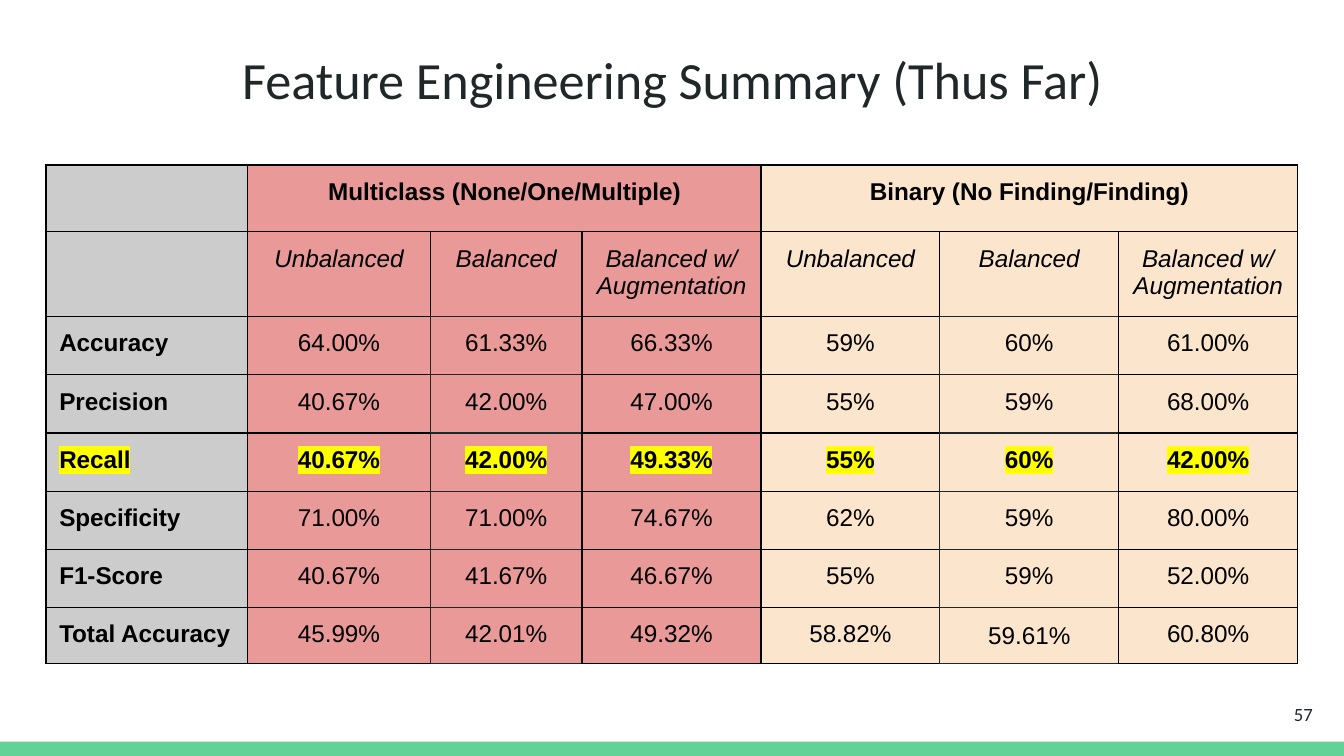
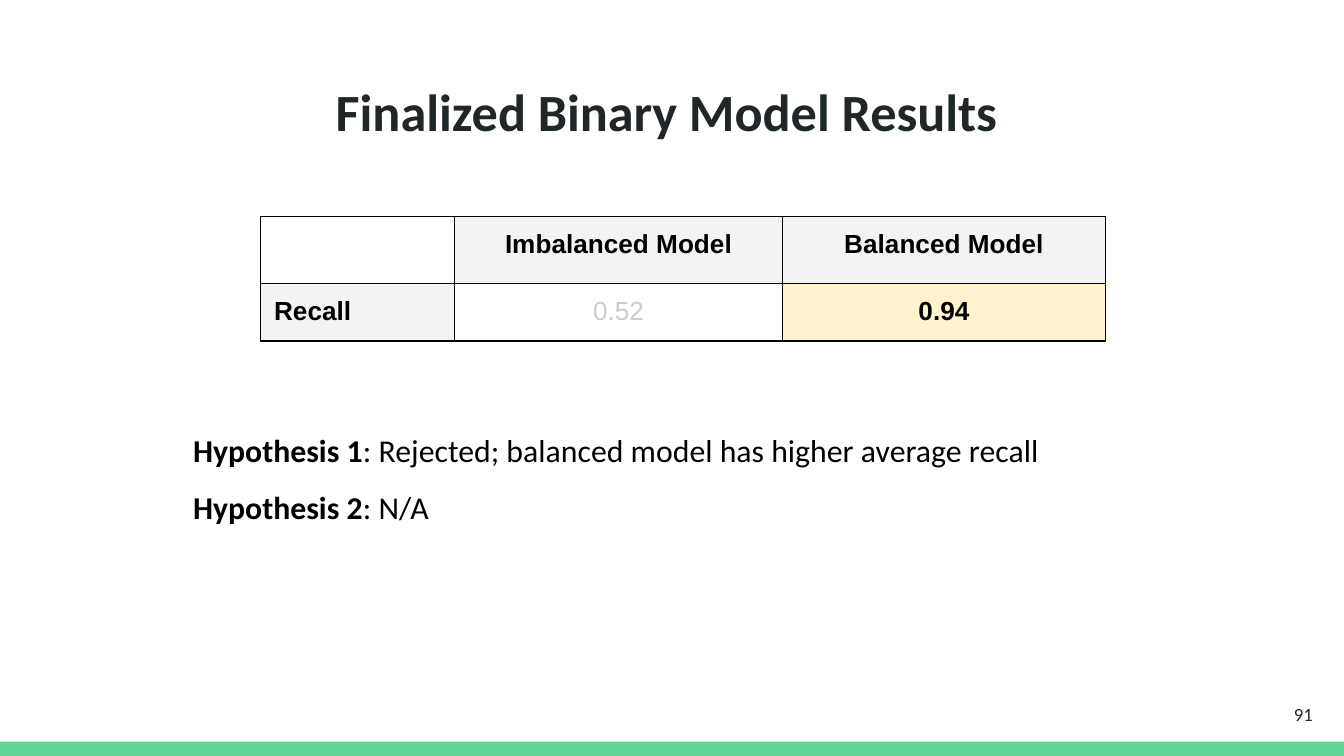
from lxml import etree
from pptx import Presentation
from pptx.dml.color import RGBColor
from pptx.enum.shapes import MSO_SHAPE
from pptx.enum.text import MSO_ANCHOR, PP_ALIGN
from pptx.oxml.ns import qn
from pptx.util import Cm, Pt

RECT = MSO_SHAPE.RECTANGLE
TOP, MIDDLE = MSO_ANCHOR.TOP, MSO_ANCHOR.MIDDLE
LEFT, CENTER, RIGHT = PP_ALIGN.LEFT, PP_ALIGN.CENTER, PP_ALIGN.RIGHT

INK = RGBColor(0x20, 0x27, 0x29)
BLACK = RGBColor(0, 0, 0)
GREEN = RGBColor(0x63, 0xD2, 0x97)
GREY = RGBColor(0xCC, 0xCC, 0xCC)
PALE = RGBColor(0xF3, 0xF3, 0xF3)
ROSE = RGBColor(0xEA, 0x99, 0x99)
PEACH = RGBColor(0xFC, 0xE5, 0xCD)
CREAM = RGBColor(0xFF, 0xF2, 0xCC)
YELLOW = RGBColor(0xFF, 0xFF, 0)

# Content
KINDS = ["Unbalanced", "Balanced", "Balanced w/ Augmentation"]
SCORES = [
    ["", "Multiclass (None/One/Multiple)", "", "", "Binary (No Finding/Finding)", "", ""],
    [""] + KINDS * 2,
    ["Accuracy", "64.00%", "61.33%", "66.33%", "59%", "60%", "61.00%"],
    ["Precision", "40.67%", "42.00%", "47.00%", "55%", "59%", "68.00%"],
    ["Recall", "40.67%", "42.00%", "49.33%", "55%", "60%", "42.00%"],
    ["Specificity", "71.00%", "71.00%", "74.67%", "62%", "59%", "80.00%"],
    ["F1-Score", "40.67%", "41.67%", "46.67%", "55%", "59%", "52.00%"],
    ["Total Accuracy", "45.99%", "42.01%", "49.32%", "58.82%", "59.61%", "60.80%"],
]
MODELS = [["", "Imbalanced Model", "Balanced Model"], ["Recall", "0.52", "0.94"]]
CLAIMS = [
    ("Hypothesis 1", ": Rejected; balanced model has higher average recall"),
    ("Hypothesis 2", ": N/A"),
]

# Text formats
TITLE = {"name": "Calibri", "size": Pt(28)}
PAGE = {"name": "Calibri", "size": Pt(10)}
CLAIM = {"name": "Calibri", "size": Pt(17)}
SCORE = {"name": "Arial", "size": Pt(13)}
MODEL = {"name": "Arial", "size": Pt(14)}

INSET = Cm(0.25)
SIDES = ("left", "right", "top", "bottom")
WIDE, HIGH = 25.4, 14.29


def add_run(para, text, form, color=BLACK, mark=None):
    run = para.add_run()
    run.text = text
    for key, value in form.items():
        setattr(run.font, key, value)
    run.font.color.rgb = color
    if mark:
        light = etree.Element(qn("a:highlight"))
        etree.SubElement(light, qn("a:srgbClr"), val=str(mark))
        run.font.fill  # keep the highlight right after the text fill
        run._r.get_or_add_rPr().find(qn("a:solidFill")).addnext(light)


def add_box(slide, x, y, w, h, anchor=TOP):
    frame = slide.shapes.add_textbox(Cm(x), Cm(y), Cm(w), Cm(h)).text_frame
    frame.word_wrap = True
    frame.vertical_anchor = anchor
    for side in SIDES:
        setattr(frame, "margin_" + side, INSET)
    return frame


def add_slide(deck, title, top, page, bold=False):
    slide = deck.slides.add_slide(deck.slide_layouts[6])
    # Bottom band
    band = slide.shapes.add_shape(RECT, 0, Cm(HIGH - 0.27), Cm(WIDE), Cm(0.27))
    band.shadow.inherit = False
    band.fill.solid()
    band.fill.fore_color.rgb = GREEN
    band.line.fill.background()
    # Title and page number
    para = add_box(slide, 0.87, top, 23.67, 1.6).paragraphs[0]
    para.alignment = CENTER
    add_run(para, title, {**TITLE, "bold": bold}, INK)
    para = add_box(slide, 23.54, 12.95, 1.52, 1.09, MIDDLE).paragraphs[0]
    para.alignment = RIGHT
    add_run(para, page, PAGE, INK)
    return slide


def add_grid(slide, x, y, cols, rows):
    grid = slide.shapes.add_table(
        len(rows), len(cols), Cm(x), Cm(y), Cm(sum(cols)), Cm(sum(rows))).table
    grid.first_row = grid.horz_banding = False
    for col, wide in zip(grid.columns, cols):
        col.width = Cm(wide)
    for row, high in zip(grid.rows, rows):
        row.height = Cm(high)
    return grid


def set_cell(cell, text, form, fill=None, edge=BLACK, align=CENTER,
             color=BLACK, mark=None):
    for side in SIDES:
        setattr(cell, "margin_" + side, INSET)
    if fill:
        cell.fill.solid()
        cell.fill.fore_color.rgb = fill
    else:
        cell.fill.background()
    # Borders come before the fill
    props = cell._tc.get_or_add_tcPr()
    for spot, side in enumerate("LRTB"):
        line = etree.Element(qn("a:ln" + side), w=str(Pt(0.75)))
        paint = etree.SubElement(line, qn("a:solidFill"))
        etree.SubElement(paint, qn("a:srgbClr"), val=str(edge))
        props.insert(spot, line)
    if text:
        para = cell.text_frame.paragraphs[0]
        para.alignment = align
        add_run(para, text, form, color, mark)


def add_scores(deck):
    slide = add_slide(deck, "Feature Engineering Summary (Thus Far)", 0.64, "57")
    cols = [3.81, 3.45, 2.87] + [3.38] * 4
    grid = add_grid(slide, 0.87, 3.12, cols, [1.1] * 7 + [1.06])
    fills = [GREY] + [ROSE] * 3 + [PEACH] * 3
    for r, row in enumerate(SCORES):
        recall = row[0] == "Recall"
        for c, text in enumerate(row):
            form = {**SCORE, "bold": r == 0 or c == 0 or recall, "italic": r == 1}
            inner = r > 1 and c in (2, 5)
            set_cell(grid.cell(r, c), text, form, fills[c],
                     edge=INK if inner else BLACK,
                     align=CENTER if c else LEFT,
                     mark=YELLOW if recall else None)
    for c in (1, 4):
        grid.cell(0, c).merge(grid.cell(0, c + 2))
    grid.cell(7, 5).vertical_anchor = MIDDLE


def add_models(deck):
    slide = add_slide(deck, "Finalized Binary Model Results ", 1.24, "91", True)
    grid = add_grid(slide, 4.93, 4.09, [3.66, 6.2, 6.1], [1.06] * 2)
    fills = [[None, PALE, PALE], [PALE, None, CREAM]]
    for r, row in enumerate(MODELS):
        for c, text in enumerate(row):
            weak = (r, c) == (1, 1)
            set_cell(grid.cell(r, c), text, {**MODEL, "bold": not weak},
                     fills[r][c], align=CENTER if c else LEFT,
                     color=GREY if weak else BLACK)
    # Hypotheses
    frame = add_box(slide, 3.4, 7.54, 19.33, 5.64)
    for i, (name, claim) in enumerate(CLAIMS):
        para = frame.add_paragraph() if i else frame.paragraphs[0]
        para.line_spacing = 1.5
        add_run(para, name, {**CLAIM, "bold": True})
        add_run(para, claim, {**CLAIM, "bold": False})


def main():
    deck = Presentation()
    deck.slide_width, deck.slide_height = Cm(WIDE), Cm(HIGH)
    add_scores(deck)
    add_models(deck)
    deck.save("out.pptx")


if __name__ == "__main__":
    main()
